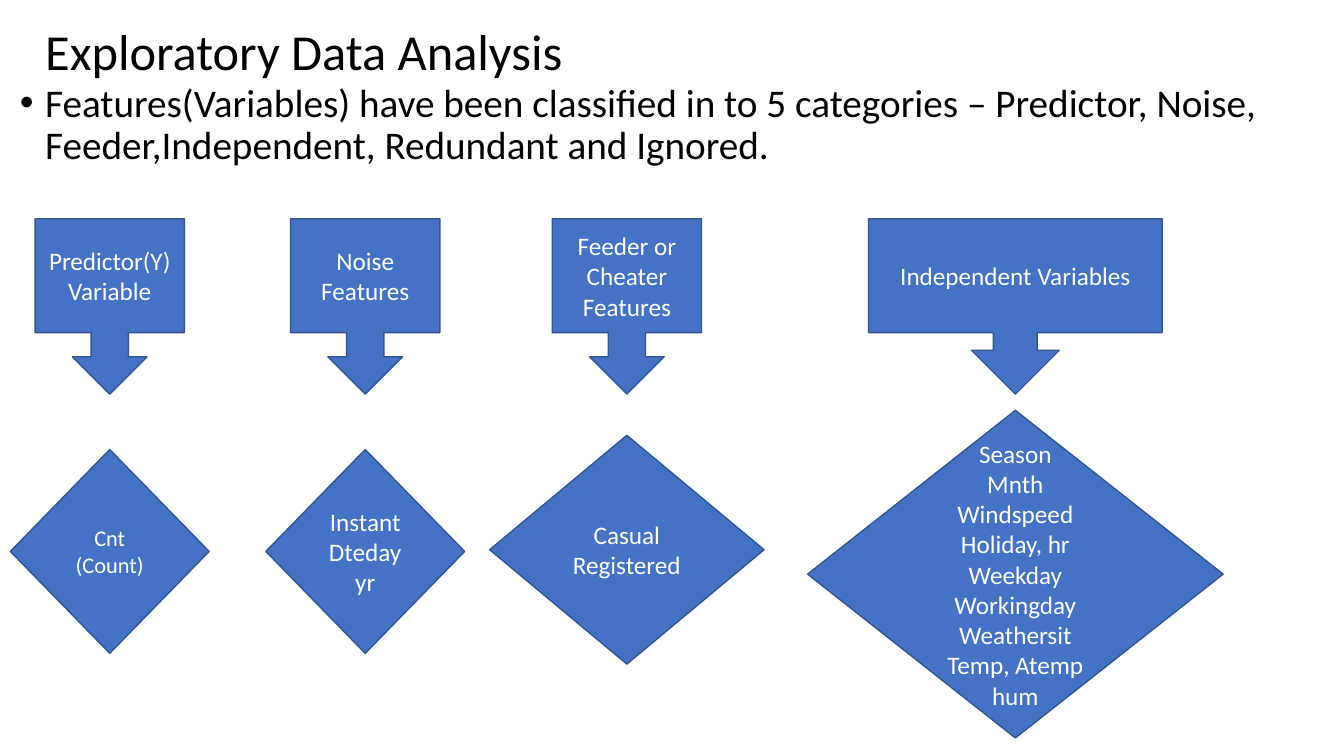
import pptx
import pptx.util
import pptx.dml.color
import pptx.enum.shapes
import pptx.enum.text
from lxml import etree

Pt = pptx.util.Pt
RGBColor = pptx.dml.color.RGBColor
MSO_SHAPE = pptx.enum.shapes.MSO_SHAPE
PP_ALIGN = pptx.enum.text.PP_ALIGN
MSO_ANCHOR = pptx.enum.text.MSO_ANCHOR

BLACK = RGBColor(0x00, 0x00, 0x00)
WHITE = RGBColor(0xFF, 0xFF, 0xFF)
BLUE = RGBColor(0x44, 0x72, 0xC4)
DARK_BLUE = RGBColor(0x32, 0x54, 0x91)

CALLOUT_TOP, CALLOUT_HEIGHT = 156.25, 125.3


def write(sp, text, size=18, color=WHITE, align=PP_ALIGN.CENTER,
          anchor=MSO_ANCHOR.MIDDLE, line_spacing=1.0, before=0, bullet_indent=0):
    """Fill a shape with one paragraph per line of text."""
    tf = sp.text_frame
    tf.word_wrap = True
    tf.vertical_anchor = anchor
    for i, line in enumerate(text.split("\n")):
        p = tf.add_paragraph() if i else tf.paragraphs[0]
        p.alignment = align
        p.line_spacing = line_spacing
        p.space_before = Pt(before)
        r = p.add_run()
        r.text = line
        r.font.name = "Calibri"
        r.font.size = Pt(size)
        r.font.color.rgb = color
        if bullet_indent:
            pPr = p._p.get_or_add_pPr()
            pPr.set("marL", str(Pt(bullet_indent)))
            pPr.set("indent", str(-Pt(bullet_indent)))
            ns = pptx.oxml.ns.qn
            etree.SubElement(pPr, ns("a:buFont")).set("typeface", "Arial")
            etree.SubElement(pPr, ns("a:buChar")).set("char", "•")


def add_box(s, kind, center, top, width, height, text, size=18):
    """Add a blue shape centred horizontally on the given x."""
    sp = s.shapes.add_shape(kind, Pt(center - width / 2), Pt(top), Pt(width), Pt(height))
    sp.shadow.inherit = False
    sp.fill.solid()
    sp.fill.fore_color.rgb = BLUE
    sp.line.color.rgb = DARK_BLUE
    sp.line.width = Pt(1)
    write(sp, text, size=size)


prs = pptx.Presentation()
prs.slide_width = Pt(960)
prs.slide_height = Pt(540)
s = prs.slides.add_slide(prs.slide_layouts[6])

title = s.shapes.add_textbox(Pt(25.2), Pt(12.25), Pt(869), Pt(53.3))
write(title, "Exploratory Data Analysis", size=36, color=BLACK,
      align=PP_ALIGN.LEFT, line_spacing=0.9)

body = s.shapes.add_textbox(Pt(7.2), Pt(56.2), Pt(945.4), Pt(493.9))
write(body, "Features(Variables) have been classified in to 5 categories – Predictor, "
      "Noise, Feeder,Independent, Redundant and Ignored.",
      size=28, color=BLACK, align=PP_ALIGN.LEFT, anchor=MSO_ANCHOR.TOP,
      line_spacing=0.9, before=10, bullet_indent=18)

# center x, callout width, callout text, diamond (top, width, height), members, member size
categories = [
    (78.4, 106.6, "Predictor(Y)\nVariable",
     (321.1, 142, 145.6), "Cnt\n(Count)", 16),
    (260.9, 106.6, "Noise Features",
     (321.1, 142, 145.6), "Instant\nDteday\nyr", 18),
    (447.8, 106.6, "Feeder or\nCheater Features",
     (311, 196, 163.4), "Casual\nRegistered", 18),
    (725.3, 209.6, "Independent Variables",
     (293.1, 296.8, 234), "Season\nMnth\nWindspeed\nHoliday, hr\nWeekday\n"
     "Workingday\nWeathersit\nTemp, Atemp\nhum", 18),
]

for center, width, name, diamond, members, size in categories:
    add_box(s, MSO_SHAPE.DOWN_ARROW_CALLOUT, center, CALLOUT_TOP, width,
            CALLOUT_HEIGHT, name)
    add_box(s, MSO_SHAPE.DIAMOND, center, *diamond, members, size)

prs.save("out.pptx")
